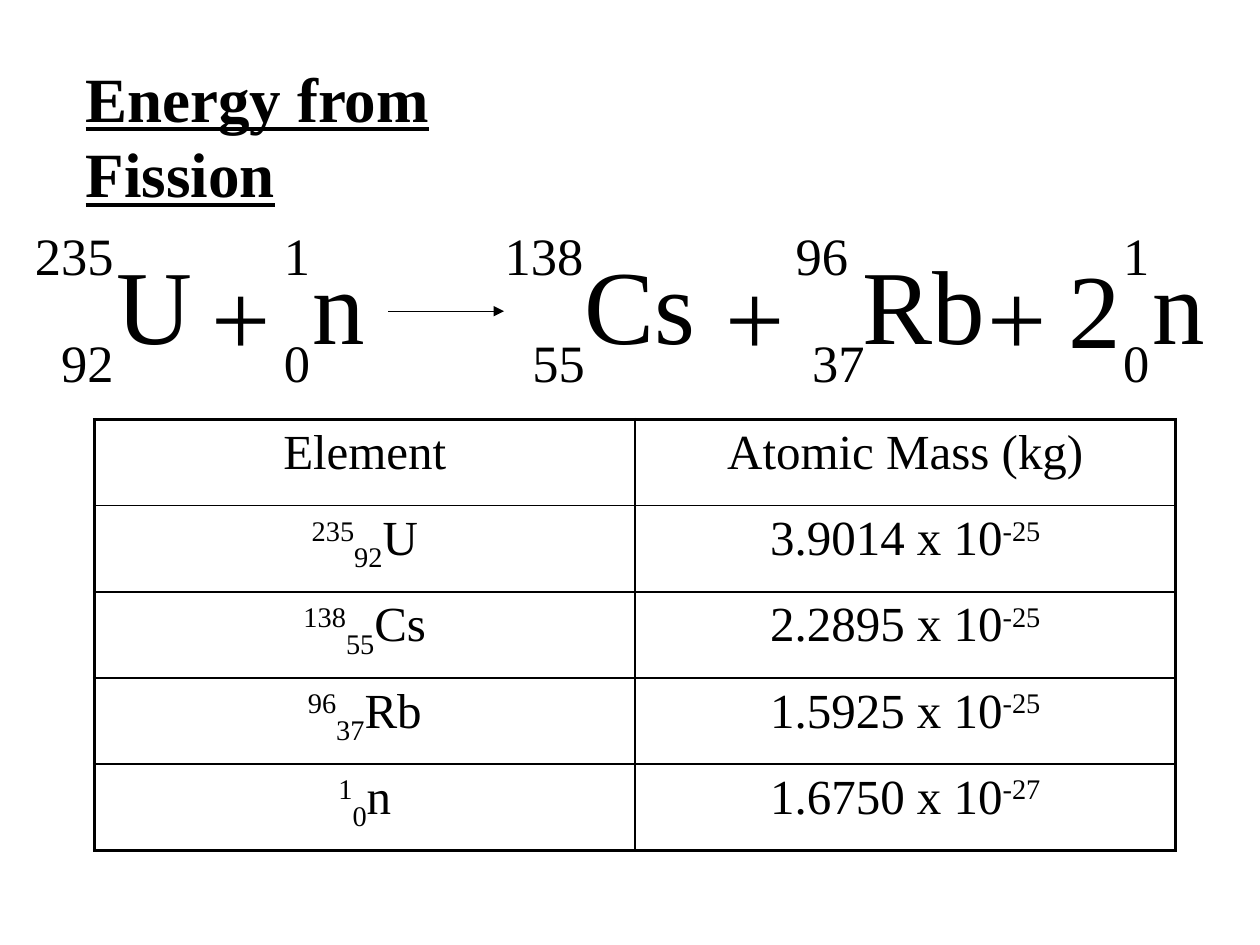
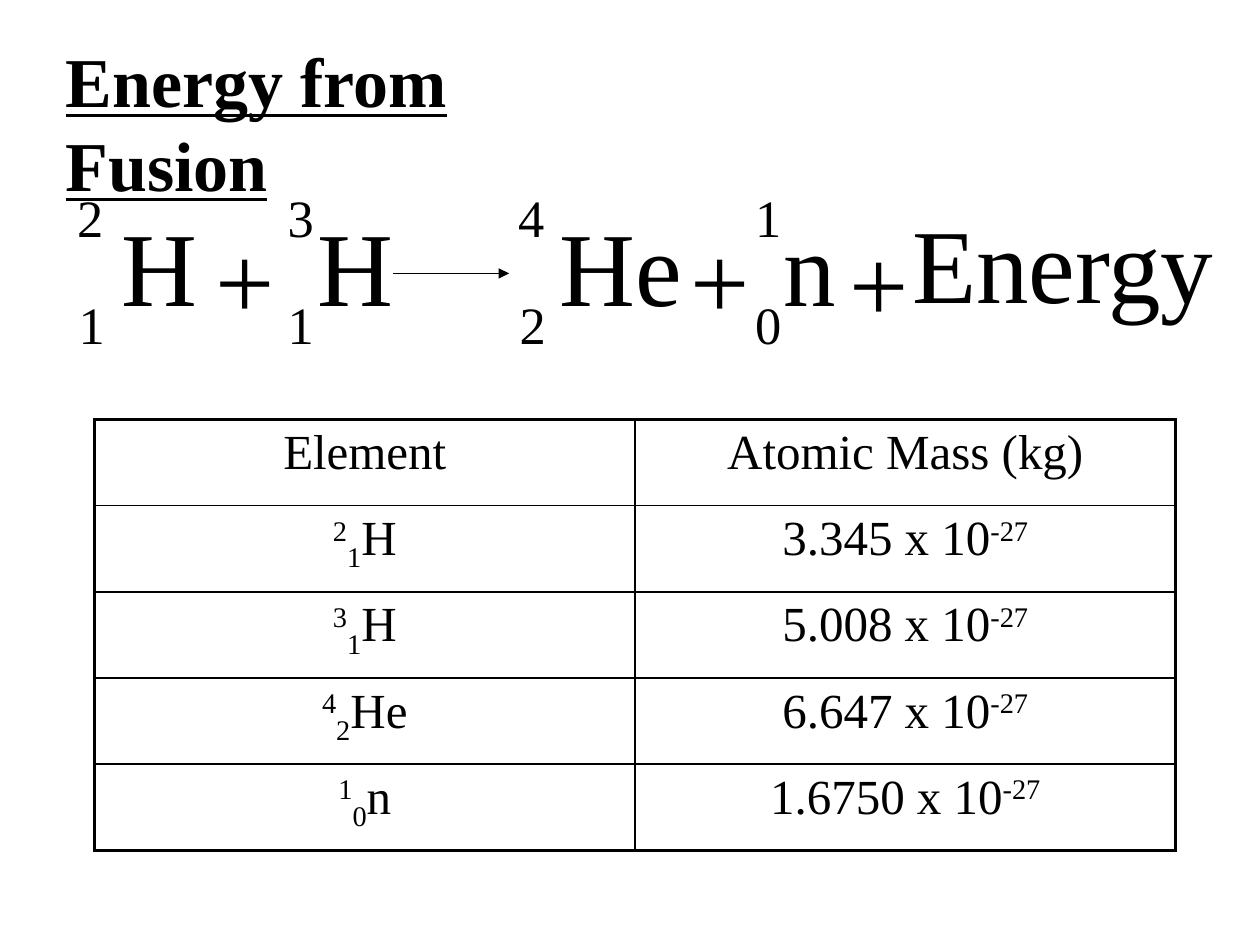
from pptx import Presentation
from pptx.dml.color import RGBColor
from pptx.enum import shapes, text
from pptx.oxml import ns
from pptx.util import Inches, Pt
from lxml import etree

BLACK = RGBColor(0x00, 0x00, 0x00)
FONT = "Times New Roman"
HEADINGS = ("Element", "Atomic Mass (kg)")
TABLE_AT = (0.75, 3.33, 8.58, 3.42)
OUTER, INNER = 2.25, 1
SUPER, SUB = 30000, -25000

SYMBOL_SIZE, NUMBER_SIZE = 60, 30
SYMBOL_HEIGHT, NUMBER_HEIGHT = 1.1, 0.6
SYMBOL_WIDTHS = {"U": 0.8, "H": 0.8, "n": 0.62, "2": 0.62, "Cs": 1.08,
                 "He": 1.17, "Rb": 1.17, "+": 0.67, "Energy": 2.61}
# Drops below the top of the equation
SYMBOL_DROP, CHARGE_DROP, PLUS_DROP, ARROW_DROP = 0.13, 0.85, 0.23, 0.75
ARROW_LENGTH = 0.92

# nuclides: mass number, charge, symbol, symbol left, then how far the right
# edges of the mass number and of the charge reach past the symbol's left
# signs: text, left, drop
# masses: mass number, charge, symbol, mantissa, exponent
REACTIONS = [
    {
        "title": "Energy from Fission", "title_at": (0.58, 0.42, 4.43, 0.71), "title_size": 36,
        "top": 1.72, "arrow_left": 3.08,
        "nuclides": [
            ("235", "92", "U", 0.83, 0.17, 0.17),
            ("1", "0", "n", 2.38, 0.18, 0.18),
            ("138", "55", "Cs", 4.54, 0.19, 0.2),
            ("96", "37", "Rb", 6.75, 0.08, 0.21),
            ("1", "0", "n", 9.05, 0.17, 0.17),
        ],
        "signs": [("+", 1.58, PLUS_DROP), ("+", 5.66, PLUS_DROP),
                  ("+", 7.74, PLUS_DROP), ("2", 8.38, 0.16)],
        "masses": [
            ("235", "92", "U", "3.9014", "-25"),
            ("138", "55", "Cs", "2.2895", "-25"),
            ("96", "37", "Rb", "1.5925", "-25"),
            ("1", "0", "n", "1.6750", "-27"),
        ],
    },
    {
        "title": "Energy from Fusion", "title_at": (0.42, 0.25, 4.84, 0.77), "title_size": 40,
        "top": 1.42, "arrow_left": 3.12,
        "nuclides": [
            ("2", "1", "H", 0.87, 0.05, 0.06),
            ("3", "1", "H", 2.42, 0.17, 0.17),
            ("4", "2", "He", 4.34, 0.08, 0.09),
            ("1", "0", "n", 6.12, 0.18, 0.18),
        ],
        "signs": [("+", 1.61, PLUS_DROP), ("+", 5.38, PLUS_DROP),
                  ("+", 6.64, 0.26), ("Energy", 7.14, 0.11)],
        "masses": [
            ("2", "1", "H", "3.345", "-27"),
            ("3", "1", "H", "5.008", "-27"),
            ("4", "2", "He", "6.647", "-27"),
            ("1", "0", "n", "1.6750", "-27"),
        ],
    },
]


def format_font(font, size, **extra):
    for name, value in {"name": FONT, "size": Pt(size), "bold": False, **extra}.items():
        setattr(font, name, value)
    font.color.rgb = BLACK


def add_title(page, words, at, size):
    title = page.shapes.title
    title.left, title.top, title.width, title.height = map(Inches, at)
    frame = title.text_frame
    frame.text = words
    for name, value in {"word_wrap": True, "auto_size": text.MSO_AUTO_SIZE.NONE,
                        "vertical_anchor": text.MSO_ANCHOR.TOP}.items():
        setattr(frame, name, value)
    para = frame.paragraphs[0]
    para.alignment = text.PP_ALIGN.LEFT
    format_font(para.runs[0].font, size, bold=True, underline=True)


def add_label(page, words, left, top, width, height, size, align):
    box = page.shapes.add_textbox(*map(Inches, (left, top, width, height)))
    box.text_frame.word_wrap = False
    para = box.text_frame.paragraphs[0]
    para.alignment = align
    span = para.add_run()
    span.text = words
    format_font(span.font, size)


def add_symbol(page, words, left, top):
    add_label(page, words, left, top, SYMBOL_WIDTHS[words], SYMBOL_HEIGHT,
              SYMBOL_SIZE, text.PP_ALIGN.LEFT)


def add_number(page, digits, right, top):
    width = 0.2 + 0.21 * len(digits)
    add_label(page, digits, right - width, top, width, NUMBER_HEIGHT,
              NUMBER_SIZE, text.PP_ALIGN.RIGHT)


def add_arrow(page, left, top):
    arrow = page.shapes.add_connector(
        shapes.MSO_CONNECTOR.STRAIGHT,
        *map(Inches, (left, top, left + ARROW_LENGTH, top)))
    arrow.line.color.rgb = BLACK
    arrow.line.width = Pt(0.75)
    properties = arrow._element.spPr
    etree.SubElement(properties.find(ns.qn("a:ln")), ns.qn("a:tailEnd"), type="triangle")
    etree.SubElement(properties, ns.qn("a:effectLst"))


def add_equation(page, reaction):
    top = reaction["top"]
    for mass, charge, symbol, left, mass_reach, charge_reach in reaction["nuclides"]:
        add_symbol(page, symbol, left, top + SYMBOL_DROP)
        add_number(page, mass, left + mass_reach, top)
        add_number(page, charge, left + charge_reach, top + CHARGE_DROP)
    for sign, left, drop in reaction["signs"]:
        add_symbol(page, sign, left, top + drop)
    add_arrow(page, reaction["arrow_left"], top + ARROW_DROP)


def set_borders(cell, widths):
    """Draw the left, right, top and bottom lines, widths in points."""
    properties = cell._tc.get_or_add_tcPr()
    for index, (side, width) in enumerate(zip(("lnL", "lnR", "lnT", "lnB"), widths)):
        line = etree.Element(ns.qn(f"a:{side}"), w=str(Pt(width)))
        fill = etree.SubElement(line, ns.qn("a:solidFill"))
        etree.SubElement(fill, ns.qn("a:srgbClr"), val=str(BLACK))
        properties.insert(index, line)


def fill_cell(cell, parts):
    """Write (words, baseline shift) parts as one centred line."""
    cell.fill.background()
    para = cell.text_frame.paragraphs[0]
    para.alignment = text.PP_ALIGN.CENTER
    for words, shift in parts:
        span = para.add_run()
        span.text = words
        format_font(span.font, 28)
        if shift:
            span._r.get_or_add_rPr().set("baseline", str(shift))


def add_mass_table(page, masses):
    rows = [[[(heading, 0)] for heading in HEADINGS]]
    for mass, charge, symbol, mantissa, exponent in masses:
        rows.append([[(mass, SUPER), (charge, SUB), (symbol, 0)],
                     [(f"{mantissa} x 10", 0), (exponent, SUPER)]])
    last_row, last_column = len(rows) - 1, len(HEADINGS) - 1
    table = page.shapes.add_table(len(rows), len(HEADINGS), *map(Inches, TABLE_AT)).table
    table.first_row = table.horz_banding = False
    for r, row in enumerate(rows):
        for c, parts in enumerate(row):
            cell = table.cell(r, c)
            fill_cell(cell, parts)
            on_edge = (c == 0, c == last_column, r == 0, r == last_row)
            set_borders(cell, [OUTER if edge else INNER for edge in on_edge])


def main():
    deck = Presentation()
    deck.slide_width, deck.slide_height = Inches(10), Inches(7.5)
    title_only = deck.slide_layouts[5]
    for reaction in REACTIONS:
        page = deck.slides.add_slide(title_only)
        add_title(page, reaction["title"], reaction["title_at"], reaction["title_size"])
        add_equation(page, reaction)
        add_mass_table(page, reaction["masses"])
    deck.save("out.pptx")


if __name__ == "__main__":
    main()
